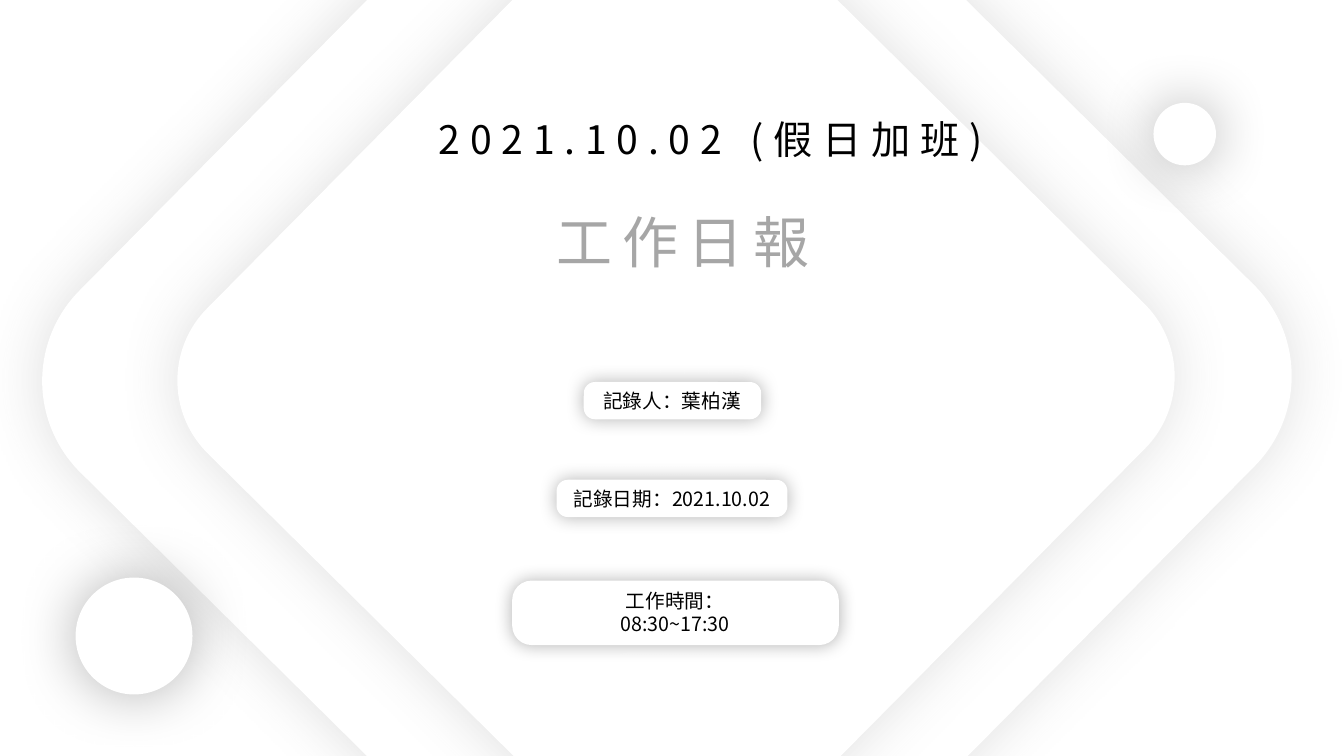
from lxml.etree import SubElement
from pptx import Presentation
from pptx.dml.color import RGBColor
from pptx.enum.shapes import MSO_SHAPE as Shape
from pptx.enum.text import MSO_ANCHOR as Anchor, MSO_AUTO_SIZE as AutoSize, PP_ALIGN as Align
from pptx.oxml.ns import qn
from pptx.util import Pt

PX = 9144
FONT = "Noto Sans CJK SC"
WHITE = RGBColor(0xFF, 0xFF, 0xFF)
BLACK = RGBColor(0x00, 0x00, 0x00)
DARK_GRAY = RGBColor(0x59, 0x59, 0x59)
LIGHT_GRAY = RGBColor(0xA6, 0xA6, 0xA6)

DIAMONDS = [(186, -100, 951, 951), (291, -4, 759, 759)]
CIRCLES = [(75, 573, 116, 116), (1144, 102, 62, 62)]
CARDS = [
    ((579, 379, 176, 37), (562, 381, 209, 34), ["記錄人：葉柏漢"]),
    ((552, 476, 229, 37), (546, 478, 241, 34), ["記錄日期：2021.10.02"]),
    ((508, 576, 324, 64), (499, 579, 341, 57), ["工作時間：", "08:30~17:30"]),
]


def set_all(target, values):
    for name, value in values.items():
        setattr(target, name, value)


def emu(place):
    return [length * PX for length in place]


def add_glow(shape, color, opacity, blur):
    shape.shadow.inherit = False
    effects = shape.element.spPr.find(qn("a:effectLst"))
    shadow = SubElement(effects, qn("a:outerShdw"), blurRad=str(Pt(blur)), dist="0",
                        dir="0", algn="ctr", rotWithShape="0")
    tone = SubElement(shadow, qn("a:srgbClr"), val=str(color))
    SubElement(tone, qn("a:alpha"), val=str(opacity * 1000))


def add_panel(shapes, kind, place, color, opacity, blur, corner=None, rotation=0):
    panel = shapes.add_shape(kind, *emu(place))
    panel.rotation = rotation
    if corner is not None:
        panel.adjustments[0] = corner
    panel.fill.solid()
    panel.fill.fore_color.rgb = WHITE
    panel.line.fill.background()
    add_glow(panel, color, opacity, blur)


def write_lines(box, lines, size, color, spacing=0):
    frame = box.text_frame
    set_all(frame, {"word_wrap": True, "auto_size": AutoSize.SHAPE_TO_FIT_TEXT,
                    "vertical_anchor": Anchor.TOP})
    for number, line in enumerate(lines):
        para = frame.add_paragraph() if number else frame.paragraphs[0]
        set_all(para, {"alignment": Align.CENTER, "space_before": Pt(0), "line_spacing": 1.0})
        span = para.add_run()
        span.text = line
        set_all(span.font, {"size": Pt(size), "name": FONT})
        span.font.color.rgb = color
        properties = span.font._element
        if spacing:
            properties.set("spc", str(spacing * 100))
        SubElement(properties, qn("a:ea"), typeface=FONT)


def fill_heading(holder, place, line, size, color):
    set_all(holder, dict(zip(("left", "top", "width", "height"), emu(place))))
    write_lines(holder, [line], size, color, spacing=7)
    holder.element.getparent().append(holder.element)


def add_card(page, panel_place, text_place, lines):
    group = page.shapes.add_group_shape()
    add_panel(group.shapes, Shape.ROUNDED_RECTANGLE, panel_place, BLACK, 30, 13, corner=0.302)
    box = group.shapes.add_textbox(*emu(text_place))
    write_lines(box, lines, 14, BLACK)


def main():
    deck = Presentation()
    set_all(deck, {"slide_width": 1333 * PX, "slide_height": 750 * PX})
    page = deck.slides.add_slide(deck.slide_layouts[0])
    for place in DIAMONDS:
        add_panel(page.shapes, Shape.ROUNDED_RECTANGLE, place, DARK_GRAY, 19, 43,
                  corner=0.134, rotation=44.7)
    fill_heading(page.placeholders[1], (266, 109, 878, 57), "2021.10.02 (假日加班)", 28, BLACK)
    fill_heading(page.shapes.title, (440, 201, 475, 77), "工作日報", 40, LIGHT_GRAY)
    for place in CIRCLES:
        add_panel(page.shapes, Shape.OVAL, place, BLACK, 30, 43)
    for card in CARDS:
        add_card(page, *card)
    deck.save("out.pptx")


if __name__ == "__main__":
    main()
